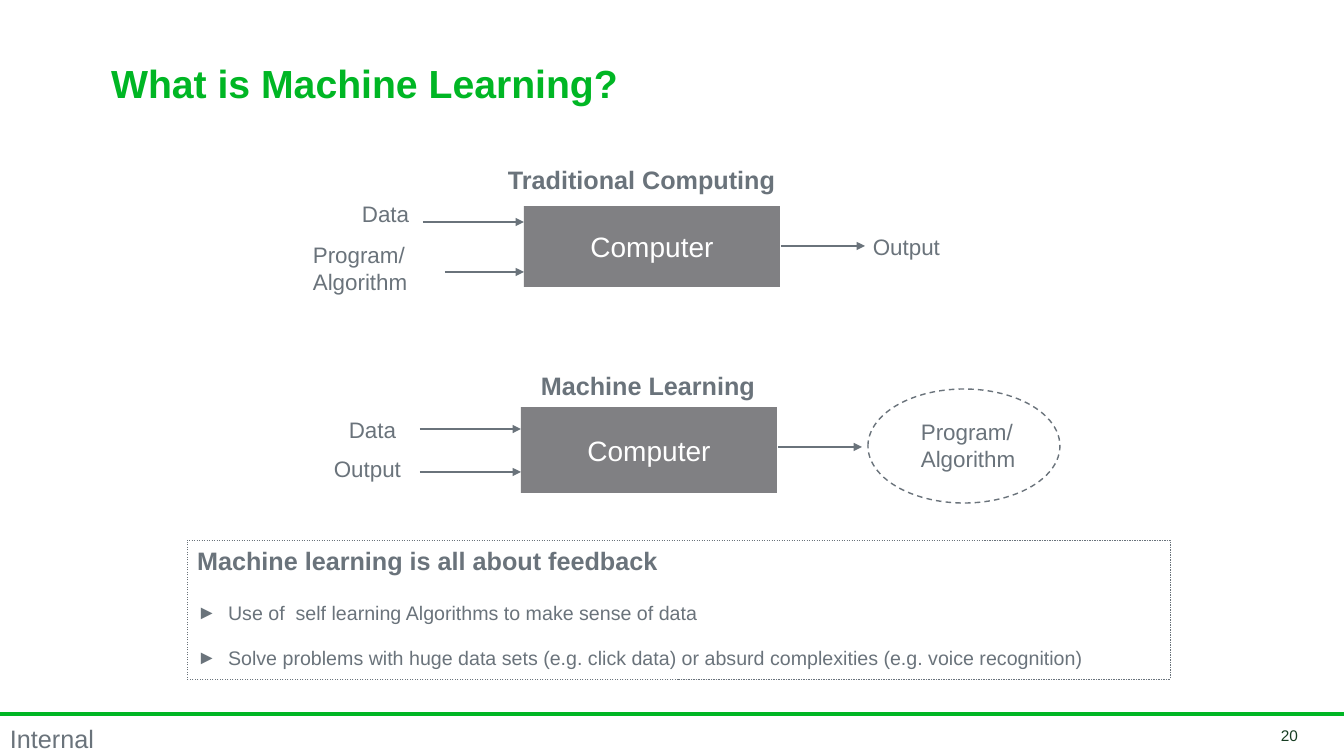
from lxml import etree
from pptx import Presentation
from pptx.dml.color import RGBColor
from pptx.enum.dml import MSO_LINE
from pptx.enum.shapes import MSO_CONNECTOR, MSO_SHAPE
from pptx.enum.text import MSO_ANCHOR, MSO_AUTO_SIZE, PP_ALIGN
from pptx.oxml.ns import qn
from pptx.util import Pt

GREEN = RGBColor(0x00, 0xB6, 0x24)
SLATE = RGBColor(0x6A, 0x73, 0x7B)
GRAY = RGBColor(0x80, 0x80, 0x83)
DARK = RGBColor(0x16, 0x3D, 0x22)
WHITE = RGBColor(0xFF, 0xFF, 0xFF)
LEFT, CENTER, RIGHT = PP_ALIGN.LEFT, PP_ALIGN.CENTER, PP_ALIGN.RIGHT
TOP, MIDDLE = MSO_ANCHOR.TOP, MSO_ANCHOR.MIDDLE
RECT, OVAL = MSO_SHAPE.RECTANGLE, MSO_SHAPE.OVAL
DASH = MSO_LINE.DASH
FONT = "Arial"

# Content; boxes are (left, top, width, height) in px
WIDTH, HEIGHT = 1344, 756
TITLE = "What is Machine Learning?"
TITLE_BOX = (101, 42, 997, 89)
DIAGRAMS = [
    {
        "heading": ("Traditional Computing", (498, 159, 290, 40)),
        "computer": (524, 206, 256, 81),
        "inputs": [(423, 222), (445, 272)],  # arrow starts
        "output_y": 246,
        "labels": [
            (["Data"], (352, 195, 69, 37)),
            (["Program/", "Algorithm"], (303, 236, 116, 65)),
            (["Output"], (863, 228, 201, 37)),
        ],
    },
    {
        "heading": ("Machine Learning", (531, 365, 237, 40)),
        "computer": (521, 407, 256, 86),
        "inputs": [(420, 429), (420, 472)],
        "output_y": 447,
        "labels": [
            (["Data"], (339, 411, 69, 37)),
            (["Output"], (324, 450, 89, 37)),
            (["Program/", "Algorithm"], (911, 413, 201, 65)),
        ],
    },
]
OUTPUT_LENGTH = 84
RESULT_OVAL = (868, 389, 192, 114)
FEEDBACK_BOX = (187, 540, 983, 139)
# text, size, bold, space before in pt, bullet
FEEDBACK = [
    ("Machine learning is all about feedback", 18, True, 0, None),
    ("Use of  self learning Algorithms to make sense of data", 14, False, 18, "►"),
    ("Solve problems with huge data sets (e.g. click data) or absurd "
     "complexities (e.g. voice recognition)", 14, False, 16, "►"),
]
BULLET_INDENT = 31
FOOTER_Y = 714


def px(n):
    return round(n * 914400 / 100.8)


def place(shape, box):
    shape.left, shape.top, shape.width, shape.height = map(px, box)


def add_run(p, text, size, color, bold=False):
    r = p.add_run()
    r.text = text
    r.font.name = FONT
    r.font.size = Pt(size)
    r.font.bold = bold
    r.font.color.rgb = color


def write(tf, lines, size, color, bold=False, align=LEFT, anchor=TOP, wrap=False):
    tf.word_wrap = wrap
    tf.vertical_anchor = anchor
    for i, text in enumerate(lines):
        p = tf.add_paragraph() if i else tf.paragraphs[0]
        p.alignment = align
        add_run(p, text, size, color, bold)


def add_text(box, lines, size, color, **style):
    tb = s.shapes.add_textbox(*map(px, box))
    write(tb.text_frame, lines, size, color, **style)
    return tb.text_frame


def add_box(kind, box):
    sp = s.shapes.add_shape(kind, *map(px, box))
    sp.shadow.inherit = False
    return sp


def outline(sp, weight):
    sp.line.color.rgb = SLATE
    sp.line.width = Pt(weight)
    sp.line.dash_style = DASH


def add_line(x1, x2, y, color, weight, arrow=True):
    c = s.shapes.add_connector(MSO_CONNECTOR.STRAIGHT, px(x1), px(y), px(x2), px(y))
    c.line.color.rgb = color
    c.line.width = Pt(weight)
    if arrow:
        etree.SubElement(c.line._get_or_add_ln(), qn("a:tailEnd"), type="triangle")
    etree.SubElement(c._element.spPr, qn("a:effectLst"))


prs = Presentation()
prs.slide_width, prs.slide_height = px(WIDTH), px(HEIGHT)
s = prs.slides.add_slide(prs.slide_layouts[1])

# Title
title = s.shapes.title
place(title, TITLE_BOX)
write(title.text_frame, [TITLE], 28, GREEN, bold=True, anchor=MIDDLE, wrap=True)
title.text_frame.paragraphs[0].line_spacing = 0.85

# Diagrams
for d in DIAGRAMS:
    heading, heading_box = d["heading"]
    add_text(heading_box, [heading], 18, SLATE, bold=True)
    x, y, w, h = d["computer"]
    computer = add_box(RECT, d["computer"])
    computer.fill.solid()
    computer.fill.fore_color.rgb = GRAY
    computer.line.fill.background()
    write(computer.text_frame, ["Computer"], 20, WHITE, align=CENTER, anchor=MIDDLE)
    for start, arrow_y in d["inputs"]:
        add_line(start, x, arrow_y, SLATE, 2)
    add_line(x + w + 1, x + w + 1 + OUTPUT_LENGTH, d["output_y"], SLATE, 2)
    for lines, box in d["labels"]:
        add_text(box, lines, 16, SLATE)

oval = add_box(OVAL, RESULT_OVAL)
oval.fill.background()
outline(oval, 1)

# Feedback list
body = s.placeholders[1]
place(body, FEEDBACK_BOX)
outline(body, 0.25)
tf = body.text_frame
tf.auto_size = MSO_AUTO_SIZE.NONE
tf.word_wrap = True
tf.vertical_anchor = TOP
for i, (text, size, bold, before, bullet) in enumerate(FEEDBACK):
    p = tf.add_paragraph() if i else tf.paragraphs[0]
    pPr = p._p.get_or_add_pPr()
    indent = px(BULLET_INDENT) if bullet else 0
    pPr.set("marL", str(indent))
    pPr.set("indent", str(-indent))
    if bullet:
        etree.SubElement(pPr, qn("a:buFont"), typeface=FONT)
        etree.SubElement(pPr, qn("a:buChar"), char=bullet)
    else:
        etree.SubElement(pPr, qn("a:buNone"))
    p.space_before = Pt(before)
    add_run(p, text, size, SLATE, bold)

# Footer
add_line(0, WIDTH, FOOTER_Y, GREEN, 3.5, arrow=False)
footer = add_text((0, 721, 105, 39), ["Internal"], 18, SLATE)
footer.paragraphs[0].line_spacing = 0.95
add_text((1206, 725, 102, 20), ["20"], 11, DARK, align=RIGHT, anchor=MIDDLE, wrap=True)

prs.save("out.pptx")
